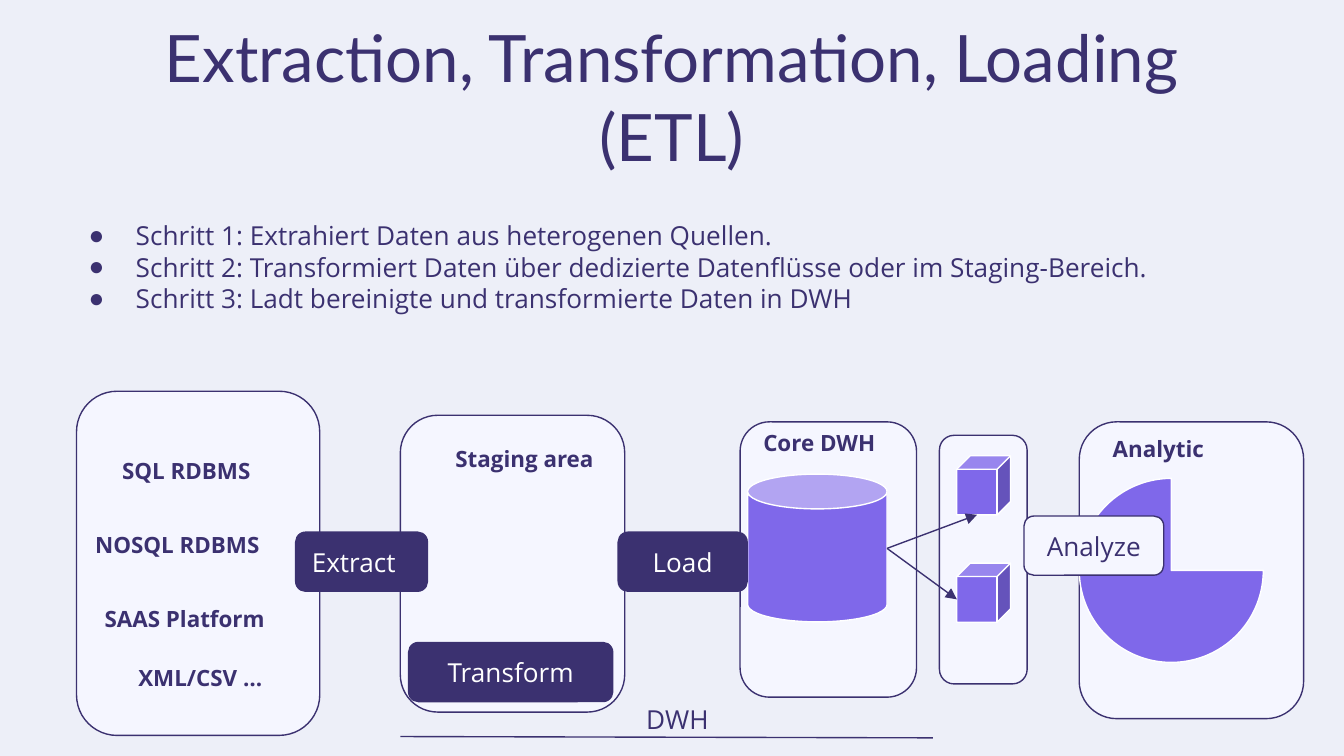
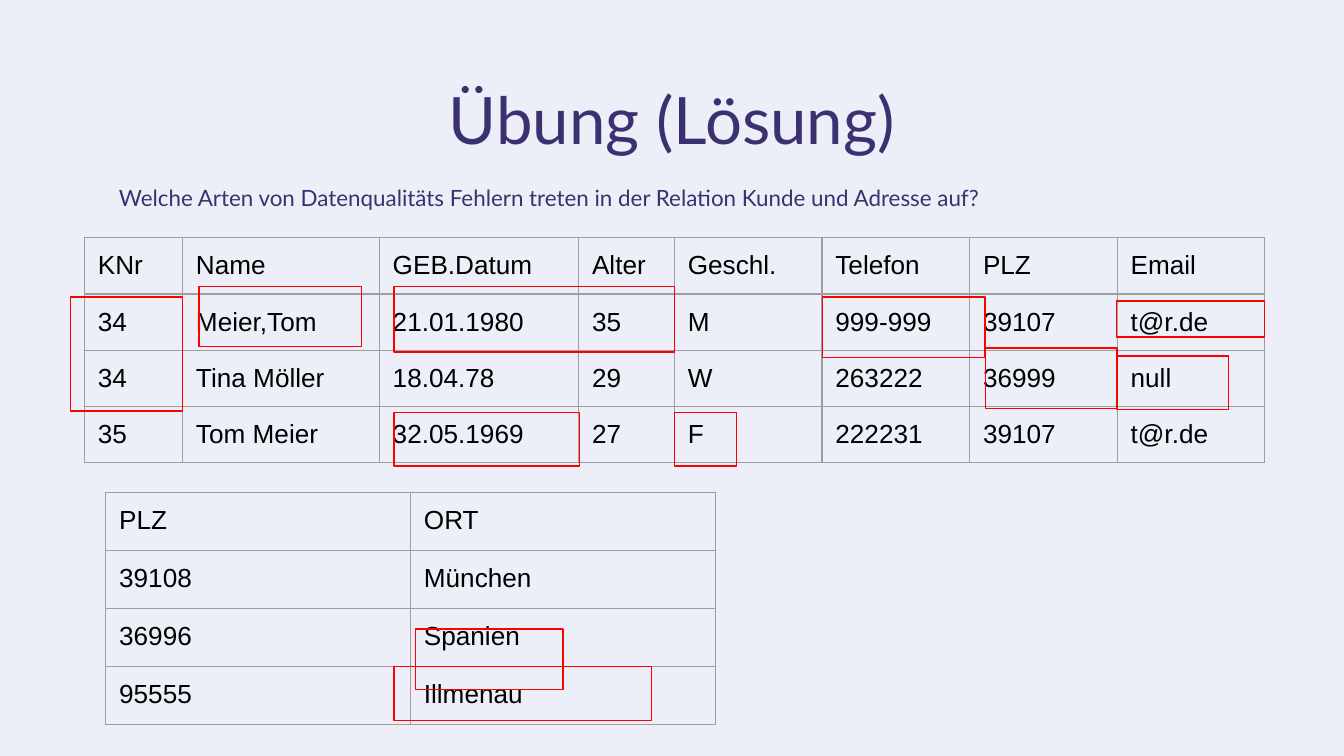
from dataclasses import dataclass

from lxml.etree import SubElement
from pptx import Presentation
from pptx.dml.color import RGBColor
from pptx.enum.shapes import MSO_CONNECTOR, MSO_SHAPE as Preset
from pptx.enum.text import MSO_ANCHOR as Anchor, MSO_AUTO_SIZE, PP_ALIGN as Align
from pptx.oxml.ns import qn
from pptx.util import Pt


@dataclass(frozen=True)
class Theme:
    page: str = "EDEFF8"
    ink: str = "3B3170"
    panel: str = "F5F6FF"
    accent: str = "7F68EA"
    white: str = "FFFFFF"
    black: str = "000000"
    grid: str = "9E9E9E"
    mark: str = "FF0000"
    title_font: str = "Lato"
    body_font: str = "Open Sans"
    table_font: str = "Arial"
    title_size: float = 35
    body_size: float = 14
    label_size: float = 12
    line: float = 0.75
    inset: float = 7.2


THEME = Theme()


@dataclass(frozen=True)
class Area:
    left: float
    top: float
    width: float
    height: float

    def lengths(self):
        return Pt(self.left), Pt(self.top), Pt(self.width), Pt(self.height)


@dataclass(frozen=True)
class Look:
    fill: str | None
    line: str
    ink: str = THEME.ink


PANEL = Look(THEME.panel, THEME.ink)
ART = Look(THEME.accent, THEME.white)
DARK_STEP = Look(THEME.ink, THEME.ink, THEME.white)
RED_FRAME = Look(None, THEME.mark)


@dataclass(frozen=True)
class Figure:
    preset: Preset
    area: Area
    look: Look


@dataclass(frozen=True)
class Step:
    text: str
    area: Area
    look: Look = DARK_STEP
    align: Align = Align.CENTER


@dataclass(frozen=True)
class Label:
    text: str
    area: Area
    size: float = THEME.label_size
    bold: bool = True


@dataclass(frozen=True)
class Line:
    start: tuple[float, float]
    end: tuple[float, float]
    arrow: bool = True


@dataclass(frozen=True)
class Grid:
    left: float
    top: float
    columns: list[float]
    row_height: float
    rows: list[list[str]]


TITLE_ETL = "Extraction, Transformation, Loading (ETL)"
STEPS_TEXT = [
    "Schritt 1: Extrahiert Daten aus heterogenen Quellen.",
    "Schritt 2: Transformiert Daten über dedizierte Datenflüsse oder im Staging-Bereich.",
    "Schritt 3: Ladt bereinigte und transformierte Daten in DWH",
]
FIGURES = [
    Figure(Preset.ROUNDED_RECTANGLE, Area(578.2, 226, 120.2, 159), PANEL),
    Figure(Preset.PIE, Area(578.2, 256.3, 98.6, 98.6), ART),
    Figure(Preset.ROUNDED_RECTANGLE, Area(396.5, 226, 94.5, 147.5), PANEL),
    Figure(Preset.CAN, Area(400.5, 254, 74.7, 79.2), ART),
    Figure(Preset.ROUNDED_RECTANGLE, Area(214.5, 222.5, 120.2, 159), PANEL),
    Figure(Preset.ROUNDED_RECTANGLE, Area(41, 209.6, 130.3, 184.4), PANEL),
    Figure(Preset.ROUNDED_RECTANGLE, Area(503.3, 233.2, 47, 133.2), PANEL),
    *(Figure(Preset.CUBE, Area(512.6, top, 28.8, 31.7), ART) for top in (244.2, 301.7)),
]
LABELS = [
    Label("SQL RDBMS", Area(58.3, 237.6, 94.3, 31.7)),
    Label("NOSQL RDBMS", Area(43.9, 277.2, 124.6, 31.7)),
    Label("SAAS Platform", Area(49, 316.8, 112.3, 31.7)),
    Label("XML/CSV …", Area(67, 348.5, 94.3, 31.7)),
    Label("Staging area", Area(236.9, 231.1, 94.3, 31.7)),
    Label("Core DWH", Area(401.8, 222.5, 94.3, 31.7)),
    Label("Analytic", Area(589, 226, 94.3, 31.7)),
    Label("DWH", Area(339.1, 370.1, 63.4, 13.7), THEME.body_size, False),
]
CAN_RIGHT = (475.2, 293.8)
LINES = [
    Line((214.5, 394.6), (499.7, 395.3), arrow=False),
    Line(CAN_RIGHT, (523.4, 275.8)),
    Line(CAN_RIGHT, (512.6, 321.1)),
]
STEPS = [
    Step("Extract", Area(158.4, 285.1, 70.6, 31.7), align=Align.LEFT),
    Step("Transform", Area(218.9, 344.2, 109.4, 31.7)),
    Step("Load", Area(331.2, 285.1, 69.1, 31.7)),
    Step("Analyze", Area(548.6, 276.5, 74.9, 31.7), PANEL),
]

TITLE_EXERCISE = "Übung (Lösung)"
QUESTION = ("Welche Arten von Datenqualitäts Fehlern treten in der Relation "
            "Kunde und Adresse auf?")
CUSTOMERS = Grid(45.2, 127.3, [52.6, 105.4, 106.8, 51.3] + [79.1] * 4, 30.1, [
    ["KNr", "Name", "GEB.Datum", "Alter", "Geschl.", "Telefon", "PLZ", "Email"],
    ["34", "Meier,Tom", "21.01.1980", "35", "M", "999-999", "39107", "t@r.de"],
    ["34", "Tina Möller", "18.04.78", "29", "W", "263222", "36999", "null"],
    ["35", "Tom Meier", "32.05.1969", "27", "F", "222231", "39107", "t@r.de"],
])
PLACES = Grid(56.6, 263.7, [163.3] * 2, 31.1, [
    ["PLZ", "ORT"],
    ["39108", "München"],
    ["36996", "Spanien"],
    ["95555", "Illmenau"],
])
RED_FRAMES = [
    Area(37.9, 159.1, 59.8, 61.2),
    Area(598.3, 161.3, 79.2, 19.4),
    Area(598.3, 190.8, 59.8, 28.8),
    Area(440.6, 159.1, 87.1, 32.4),
    Area(211, 221, 99.4, 28.8),
    Area(106.6, 153.4, 87.1, 32.4),
    Area(211, 357.1, 138.2, 28.8),
    Area(211, 153.4, 150.5, 35.3),
    Area(222.5, 337, 79.2, 32.4),
    Area(527.8, 186.5, 70.6, 32.4),
    Area(361.4, 221, 33.1, 28.8),
]


def rgb(value: str) -> RGBColor:
    return RGBColor.from_string(value)


def style(paragraph, font: str, size: float, colour: str, bold: bool = False,
          align: Align = Align.LEFT) -> None:
    paragraph.alignment = align
    paragraph.font.name = font
    paragraph.font.size = Pt(size)
    paragraph.font.bold = bold
    paragraph.font.color.rgb = rgb(colour)


def prepare_frame(frame, anchor: Anchor = Anchor.TOP) -> None:
    frame.word_wrap = True
    frame.auto_size = MSO_AUTO_SIZE.NONE
    frame.vertical_anchor = anchor
    frame.margin_left = frame.margin_right = Pt(THEME.inset)
    frame.margin_top = frame.margin_bottom = Pt(THEME.inset)


def move(shape, area: Area) -> None:
    shape.left, shape.top, shape.width, shape.height = area.lengths()


def set_title(slide, text: str, top: float) -> None:
    title = slide.shapes.title
    move(title, Area(56.5, top, 607, 45.4))
    prepare_frame(title.text_frame)
    title.text_frame.text = text
    style(title.text_frame.paragraphs[0], THEME.title_font, THEME.title_size,
          THEME.ink, align=Align.CENTER)


def set_bullets(body, items: list[str]) -> None:
    move(body, Area(29.5, 110.5, 676.8, 65))
    frame = body.text_frame
    prepare_frame(frame)
    frame.text = "\n".join(items)
    for paragraph in frame.paragraphs:
        properties = paragraph._p.get_or_add_pPr()
        properties.set("marL", str(Pt(36)))
        properties.set("indent", str(Pt(-25.2)))
        colour = SubElement(properties, qn("a:buClr"))
        SubElement(colour, qn("a:srgbClr"), val=THEME.ink)
        SubElement(properties, qn("a:buChar"), char="●")
        paragraph.space_before = Pt(0)
        style(paragraph, THEME.body_font, THEME.body_size, THEME.ink)


def add_figure(slide, figure: Figure):
    shape = slide.shapes.add_shape(figure.preset, *figure.area.lengths())
    shape.shadow.inherit = False
    if figure.look.fill is None:
        shape.fill.background()
    else:
        shape.fill.solid()
        shape.fill.fore_color.rgb = rgb(figure.look.fill)
    shape.line.color.rgb = rgb(figure.look.line)
    shape.line.width = Pt(THEME.line)
    return shape


def add_step(slide, step: Step) -> None:
    shape = add_figure(slide, Figure(Preset.ROUNDED_RECTANGLE, step.area, step.look))
    prepare_frame(shape.text_frame, Anchor.MIDDLE)
    shape.text_frame.text = step.text
    style(shape.text_frame.paragraphs[0], THEME.body_font, THEME.body_size,
          step.look.ink, align=step.align)


def add_label(slide, label: Label) -> None:
    frame = slide.shapes.add_textbox(*label.area.lengths()).text_frame
    prepare_frame(frame)
    frame.text = label.text
    style(frame.paragraphs[0], THEME.body_font, label.size, THEME.ink, label.bold)


def add_line(slide, line: Line) -> None:
    ends = (Pt(value) for value in line.start + line.end)
    connector = slide.shapes.add_connector(MSO_CONNECTOR.STRAIGHT, *ends)
    connector.line.color.rgb = rgb(THEME.ink)
    connector.line.width = Pt(THEME.line)
    if line.arrow:
        SubElement(connector.line._get_or_add_ln(), qn("a:tailEnd"), type="triangle")
    SubElement(connector._element.spPr, qn("a:effectLst"))


def set_borders(cell) -> None:
    properties = cell._tc.get_or_add_tcPr()
    for side in "LRTB":
        border = SubElement(properties, qn(f"a:ln{side}"), w=str(Pt(THEME.line)))
        fill = SubElement(border, qn("a:solidFill"))
        SubElement(fill, qn("a:srgbClr"), val=THEME.grid)


def add_grid(slide, grid: Grid) -> None:
    area = Area(grid.left, grid.top, sum(grid.columns), grid.row_height * len(grid.rows))
    table = slide.shapes.add_table(len(grid.rows), len(grid.columns), *area.lengths()).table
    table.first_row = table.horz_banding = False
    for column, width in zip(table.columns, grid.columns):
        column.width = Pt(width)
    for row, texts in zip(table.rows, grid.rows):
        row.height = Pt(grid.row_height)
        for cell, text in zip(row.cells, texts):
            cell.text = text
            cell.margin_left = cell.margin_right = Pt(THEME.inset)
            cell.margin_top = cell.margin_bottom = Pt(THEME.inset)
            style(cell.text_frame.paragraphs[0], THEME.table_font, THEME.body_size,
                  THEME.black)
            set_borders(cell)
            cell.fill.background()


def build_etl(deck) -> None:
    slide = deck.slides.add_slide(deck.slide_layouts.get_by_name("Title and Content"))
    set_title(slide, TITLE_ETL, 2.2)
    set_bullets(slide.placeholders[1], STEPS_TEXT)
    for figure in FIGURES:
        add_figure(slide, figure)
    for label in LABELS:
        add_label(slide, label)
    for line in LINES:
        add_line(slide, line)
    for step in STEPS:
        add_step(slide, step)


def build_exercise(deck) -> None:
    slide = deck.slides.add_slide(deck.slide_layouts.get_by_name("Title Only"))
    set_title(slide, TITLE_EXERCISE, 35.3)
    question = slide.shapes.title.text_frame.add_paragraph()
    question.text = QUESTION
    question.space_before = Pt(14)
    style(question, THEME.title_font, THEME.label_size, THEME.ink)
    for grid in (CUSTOMERS, PLACES):
        add_grid(slide, grid)
    for area in RED_FRAMES:
        add_figure(slide, Figure(Preset.RECTANGLE, area, RED_FRAME))


def main() -> None:
    deck = Presentation()
    deck.slide_width, deck.slide_height = Pt(720), Pt(405)
    background = deck.slide_master.background.fill
    background.solid()
    background.fore_color.rgb = rgb(THEME.page)
    build_etl(deck)
    build_exercise(deck)
    deck.save("out.pptx")


if __name__ == "__main__":
    main()
